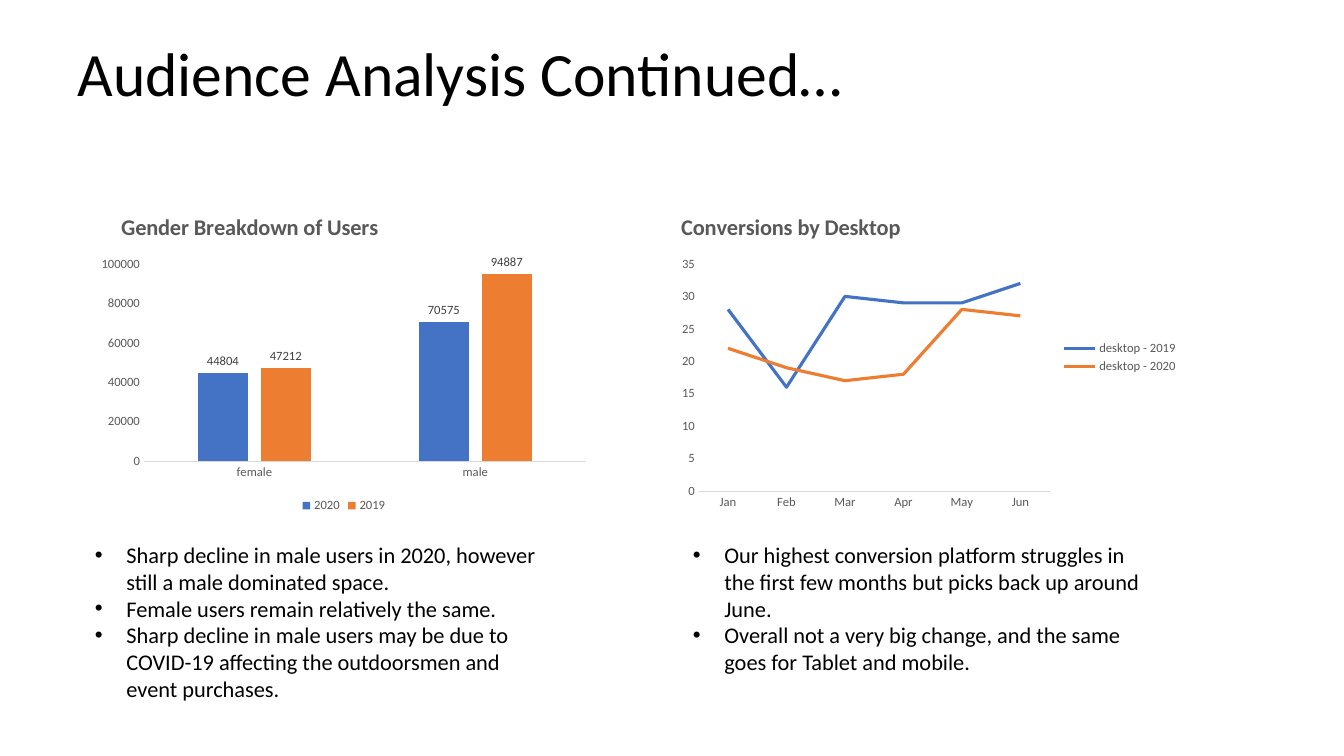
from dataclasses import dataclass

from lxml import etree
from pptx import Presentation
from pptx.chart.data import CategoryChartData
from pptx.dml.color import RGBColor
from pptx.enum.chart import XL_CHART_TYPE, XL_LABEL_POSITION, XL_LEGEND_POSITION, XL_TICK_MARK
from pptx.enum.text import MSO_ANCHOR, PP_ALIGN
from pptx.oxml.ns import qn
from pptx.util import Pt

COLUMNS = XL_CHART_TYPE.COLUMN_CLUSTERED
LINES = XL_CHART_TYPE.LINE
LEGEND_BOTTOM = XL_LEGEND_POSITION.BOTTOM
LEGEND_RIGHT = XL_LEGEND_POSITION.RIGHT
OUTSIDE_END = XL_LABEL_POSITION.OUTSIDE_END
NO_TICK = XL_TICK_MARK.NONE
BOTTOM = MSO_ANCHOR.BOTTOM
CENTER = PP_ALIGN.CENTER
EMU_PER_PX = 914400 / 100.8


@dataclass(frozen=True)
class Theme:
    """Font, colours and type sizes of the slide."""
    font: str = "Calibri"
    ink: str = "000000"
    muted: str = "595959"
    label: str = "404040"
    rule: str = "D9D9D9"
    series: tuple = ("4472C4", "ED7D31")
    title_size: int = 44
    body_size: int = 16
    chart_size: int = 9


THEME = Theme()


def px(length):
    """Convert picture pixels to EMU."""
    return round(length * EMU_PER_PX)


def style_font(font, size, color, bold=False):
    """Apply the theme font with a size and colour."""
    font.name = THEME.font
    font.size = Pt(size)
    font.bold = bold
    font.color.rgb = RGBColor.from_string(color)


def add_text(slide, box, paragraphs, size):
    """Add a wrapping text box and return its frame."""
    frame = slide.shapes.add_textbox(*map(px, box)).text_frame
    frame.word_wrap = True
    frame.text = "\n".join(paragraphs)
    for paragraph in frame.paragraphs:
        for run in paragraph.runs:
            style_font(run.font, size, THEME.ink)
    return frame


def add_title(slide, box, wording):
    """Add the slide title, centred at the bottom of its box."""
    frame = add_text(slide, box, [wording], THEME.title_size)
    frame.vertical_anchor = BOTTOM
    heading = frame.paragraphs[0]
    heading.alignment = CENTER
    heading.line_spacing = 0.9


def add_bullets(slide, box, points):
    """Add bulleted findings with a hanging indent."""
    indent = px(31.5)
    for paragraph in add_text(slide, box, points, THEME.body_size).paragraphs:
        properties = paragraph._p.get_or_add_pPr()
        properties.set("marL", str(indent))
        properties.set("indent", str(-indent))
        etree.SubElement(properties, qn("a:buFont")).set("typeface", "Arial")
        etree.SubElement(properties, qn("a:buChar")).set("char", "•")


def place(element, index, **fractions):
    """Give a chart part a manual layout in fractions of the chart."""
    for previous in element.findall(qn("c:layout")):
        element.remove(previous)
    layout = etree.Element(qn("c:layout"))
    manual = etree.SubElement(layout, qn("c:manualLayout"))
    settings = {"xMode": "edge", "yMode": "edge", **fractions}
    if "w" in fractions:
        settings = {"layoutTarget": "inner", **settings}
    for name, value in settings.items():
        etree.SubElement(manual, qn(f"c:{name}")).set("val", str(value))
    element.insert(index, layout)


def style_axes(chart, maximum, step):
    """Set the scale and the quiet look of both axes."""
    for axis in (chart.category_axis, chart.value_axis):
        axis.major_tick_mark = axis.minor_tick_mark = NO_TICK
        axis.has_major_gridlines = False
        style_font(axis.tick_labels.font, THEME.chart_size, THEME.muted)
    baseline = chart.category_axis.format.line
    baseline.color.rgb = RGBColor.from_string(THEME.rule)
    baseline.width = Pt(0.75)
    values = chart.value_axis
    values.format.line.fill.background()
    values.minimum_scale, values.maximum_scale, values.major_unit = 0, maximum, step


def add_chart(slide, kind, box, title, title_at, plot_box, legend_at, scale, categories, series):
    """Add a titled chart with its plot area placed in slide pixels."""
    data = CategoryChartData()
    data.categories = categories
    for name, values in series.items():
        data.add_series(name, values)
    chart = slide.shapes.add_chart(kind, *map(px, box), data).chart
    style_font(chart.font, THEME.chart_size, THEME.muted)
    left, top, width, height = box

    chart.has_title = True
    chart.chart_title.text_frame.text = title
    heading = chart.chart_title.text_frame.paragraphs[0].runs[0]
    style_font(heading.font, THEME.body_size, THEME.muted, bold=True)
    place(chart.chart_title._element, 1,
          x=round((title_at[0] - left) / width, 2), y=round((title_at[1] - top) / height, 2))
    x, y, plot_width, plot_height = plot_box
    place(chart._chartSpace.chart.plotArea, 0,
          x=round((x - left) / width, 3), y=round((y - top) / height, 3),
          w=round(plot_width / width, 3), h=round(plot_height / height, 3))

    chart.has_legend = True
    chart.legend.position = legend_at
    chart.legend.include_in_layout = False
    style_font(chart.legend.font, THEME.chart_size, THEME.muted)
    style_axes(chart, *scale)
    chart.plots[0].vary_by_categories = False
    return chart


def style_columns(chart):
    """Colour and space the columns and show their values."""
    plot = chart.plots[0]
    plot.gap_width, plot.overlap = 219, -27
    for series, color in zip(plot.series, THEME.series):
        series.format.fill.solid()
        series.format.fill.fore_color.rgb = RGBColor.from_string(color)
        labels = series.data_labels
        labels.show_value = True
        labels.position = OUTSIDE_END
        style_font(labels.font, THEME.chart_size, THEME.label)


def style_lines(chart):
    """Colour the lines and keep them straight."""
    for series, color in zip(chart.plots[0].series, THEME.series):
        series.smooth = False
        series.format.line.color.rgb = RGBColor.from_string(color)
        series.format.line.width = Pt(2.25)


def main():
    """Build the audience analysis slide."""
    deck = Presentation()
    deck.slide_width, deck.slide_height = px(1344), px(756)
    slide = deck.slides.add_slide(deck.slide_layouts[6])
    add_title(slide, (55, 20, 811, 95), "Audience Analysis Continued…")

    gender = add_chart(
        slide, COLUMNS, (92, 198, 504, 319), "Gender Breakdown of Users", (118, 206),
        (144, 264, 442, 197), LEGEND_BOTTOM, (100000, 20000), ["female", "male"],
        {"2020": (44804, 70575), "2019": (47212, 94887)})
    style_columns(gender)
    add_bullets(slide, (85, 536, 461, 173), [
        "Sharp decline in male users in 2020, however still a male dominated space.",
        "Female users remain relatively the same.",
        "Sharp decline in male users may be due to COVID-19 affecting the outdoorsmen "
        "and event purchases."])

    conversions = add_chart(
        slide, LINES, (672, 198, 516, 319), "Conversions by Desktop", (677, 207),
        (699, 264, 351, 227), LEGEND_RIGHT, (35, 5), ["Jan", "Feb", "Mar", "Apr", "May", "Jun"],
        {"desktop - 2019": (28, 16, 30, 29, 29, 32),
         "desktop - 2020": (22, 19, 17, 18, 28, 27)})
    style_lines(conversions)
    add_bullets(slide, (683, 536, 482, 146), [
        "Our highest conversion platform struggles in the first few months but picks "
        "back up around June.",
        "Overall not a very big change, and the same goes for Tablet and mobile."])
    deck.save("out.pptx")


main()
